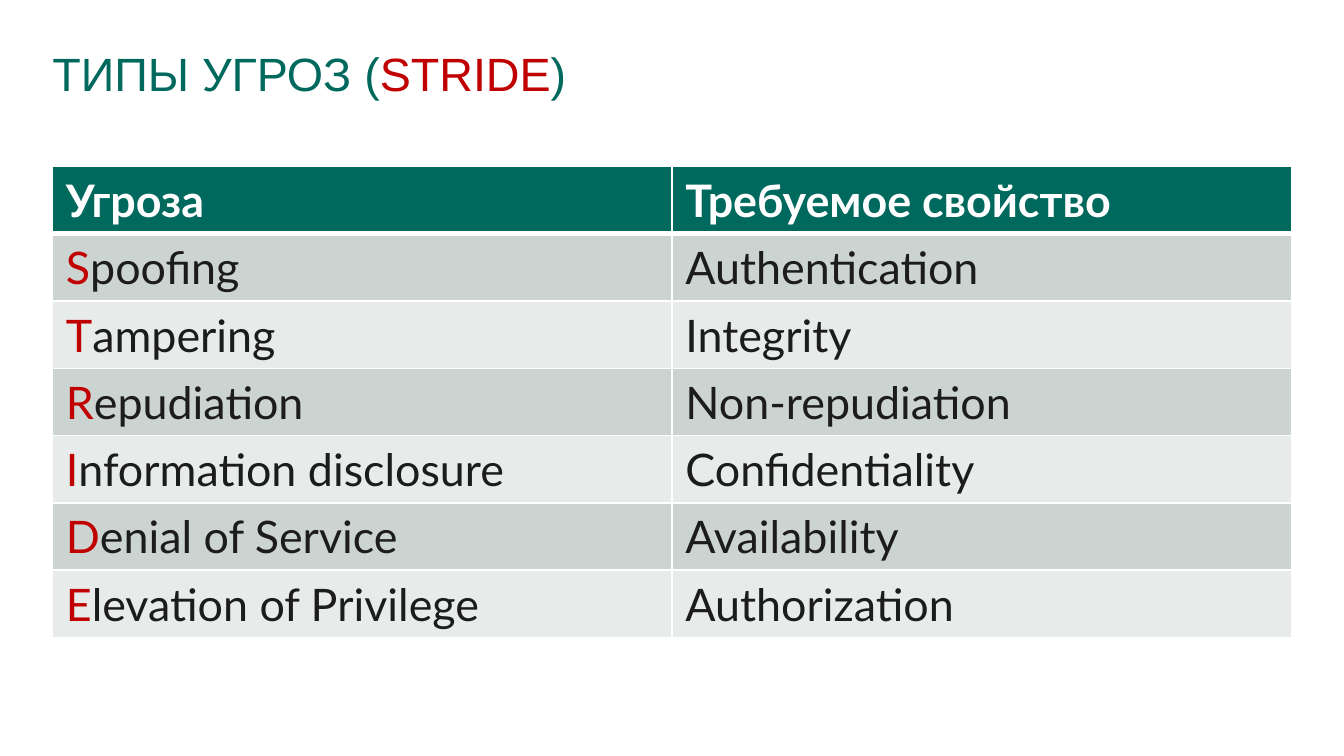
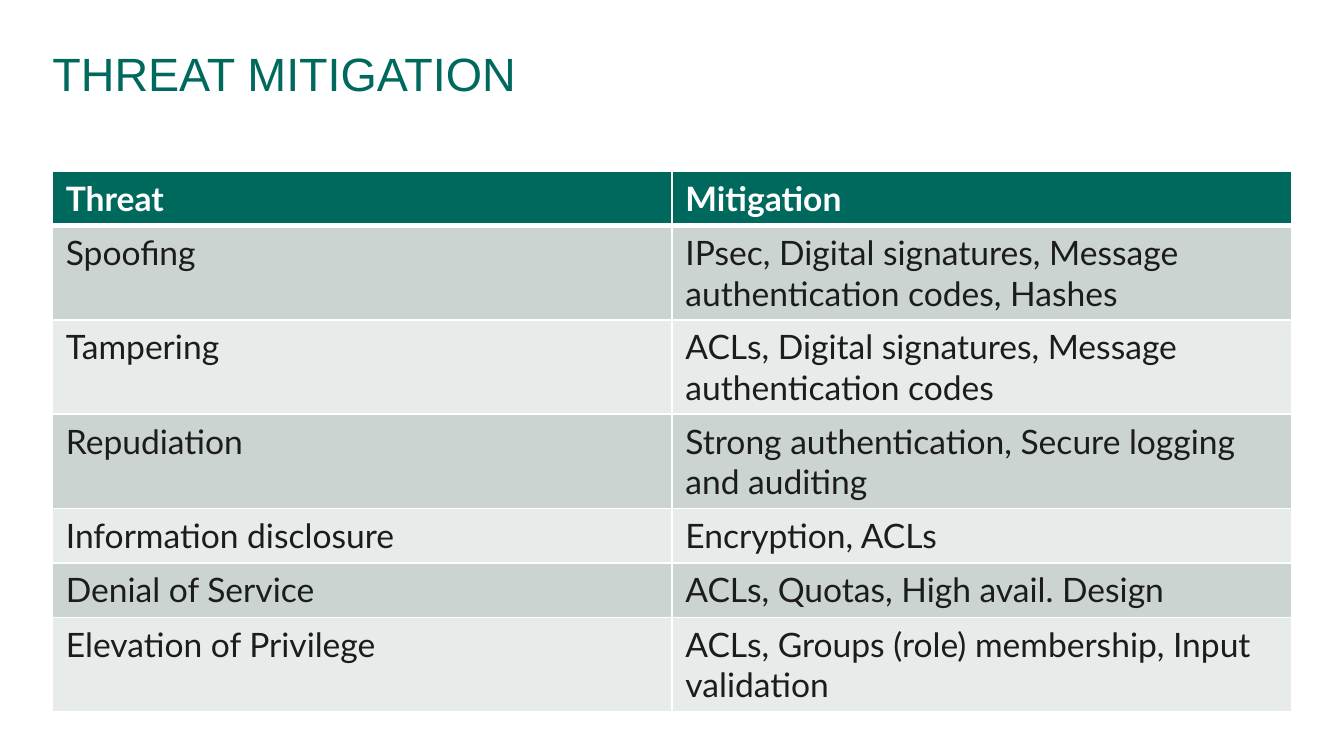
from dataclasses import dataclass

from lxml import etree
from pptx import Presentation
from pptx.dml.color import RGBColor
from pptx.enum.text import MSO_ANCHOR
from pptx.oxml.ns import qn
from pptx.util import Inches, Pt

TOP = MSO_ANCHOR.TOP
SLIDE_COLUMNS, SLIDE_ROWS = 100, 56.25
MARGIN = 3.9
CONTENT_WIDTH = SLIDE_COLUMNS - 2 * MARGIN
TITLE_TOP, TITLE_HEIGHT = 3.45, 7.4
ROW_HEIGHT = 4.06


@dataclass(frozen=True)
class Theme:
    primary: str = "00695D"
    accent: str = "C00000"
    ink: str = "1C1C1C"
    paper: str = "FFFFFF"
    bands: tuple = ("CCD4D2", "E7EBEA")
    title_font: str = "Arial"
    table_font: str = "Lato"
    title_size: float = 25
    title_leading: float = 29.2
    large_text: float = 24
    small_text: float = 18
    thin_rule: float = 1
    thick_rule: float = 3


THEME = Theme()

STRIDE_TITLE = [
    ("ТИПЫ УГРОЗ (", THEME.primary),
    ("STRIDE", THEME.accent),
    (")", THEME.primary),
]
STRIDE_HEADER = ("Угроза", "Требуемое свойство")
THREAT_PROPERTIES = [
    ("Spoofing", "Authentication"),
    ("Tampering", "Integrity"),
    ("Repudiation", "Non-repudiation"),
    ("Information disclosure", "Confidentiality"),
    ("Denial of Service", "Availability"),
    ("Elevation of Privilege", "Authorization"),
]

MITIGATION_TITLE = [("THREAT MITIGATION", THEME.primary)]
MITIGATION_HEADER = ("Threat", "Mitigation")
MITIGATIONS = [
    "IPsec, Digital signatures, Message authentication codes, Hashes",
    "ACLs, Digital signatures, Message authentication codes",
    "Strong authentication, Secure logging and auditing",
    "Encryption, ACLs",
    "ACLs, Quotas, High avail. Design",
    "ACLs, Groups (role) membership, Input validation",
]


def grid(units):
    return Inches(units / 10)


def add_runs(paragraph, runs, font_name, size, bold=False):
    for text, color in runs:
        run = paragraph.add_run()
        run.text = text
        run.font.name = font_name
        run.font.size = Pt(size)
        run.font.bold = bold
        run.font.color.rgb = RGBColor.from_string(color)


def add_title(slide, runs):
    title = slide.shapes.add_textbox(
        grid(MARGIN), grid(TITLE_TOP), grid(CONTENT_WIDTH), grid(TITLE_HEIGHT)
    )
    frame = title.text_frame
    frame.word_wrap = True
    frame.vertical_anchor = TOP
    frame.margin_left = frame.margin_top = 0
    frame.margin_right = frame.margin_bottom = 0
    paragraph = frame.paragraphs[0]
    paragraph.line_spacing = Pt(THEME.title_leading)
    add_runs(paragraph, runs, THEME.title_font, THEME.title_size)


def rule_cell(cell, top, bottom):
    properties = cell._tc.get_or_add_tcPr()
    widths = {"L": THEME.thin_rule, "R": THEME.thin_rule, "T": top, "B": bottom}
    for side, width in widths.items():
        rule = etree.SubElement(properties, qn(f"a:ln{side}"), w=str(Pt(width)))
        fill = etree.SubElement(rule, qn("a:solidFill"))
        etree.SubElement(fill, qn("a:srgbClr"), val=THEME.paper)


def fill_cell(cell, color):
    cell.fill.solid()
    cell.fill.fore_color.rgb = RGBColor.from_string(color)


def body_runs(text, highlight_initial):
    if highlight_initial:
        return [(text[0], THEME.accent), (text[1:], THEME.ink)]
    return [(text, THEME.ink)]


def add_threat_table(slide, top, header, entries, size, highlight_initials=False):
    lines = [header, *entries]
    table = slide.shapes.add_table(
        len(lines), len(header), grid(MARGIN), grid(top),
        grid(CONTENT_WIDTH), grid(ROW_HEIGHT * len(lines)),
    ).table
    for row, line in enumerate(lines):
        is_header = row == 0
        above = THEME.thick_rule if row == 1 else THEME.thin_rule
        below = THEME.thick_rule if is_header else THEME.thin_rule
        background = THEME.primary if is_header else THEME.bands[(row - 1) % 2]
        for column, text in enumerate(line):
            cell = table.cell(row, column)
            rule_cell(cell, above, below)
            fill_cell(cell, background)
            if is_header:
                runs = [(text, THEME.paper)]
            else:
                runs = body_runs(text, highlight_initials and column == 0)
            paragraph = cell.text_frame.paragraphs[0]
            add_runs(paragraph, runs, THEME.table_font, size, is_header)


def add_slide(deck, title_runs):
    slide = deck.slides.add_slide(deck.slide_layouts[6])
    background = slide.background.fill
    background.solid()
    background.fore_color.rgb = RGBColor.from_string(THEME.paper)
    add_title(slide, title_runs)
    return slide


def main():
    deck = Presentation()
    deck.slide_width = grid(SLIDE_COLUMNS)
    deck.slide_height = grid(SLIDE_ROWS)

    stride = add_slide(deck, STRIDE_TITLE)
    add_threat_table(stride, 12.4, STRIDE_HEADER, THREAT_PROPERTIES,
                     THEME.large_text, highlight_initials=True)

    mitigation = add_slide(deck, MITIGATION_TITLE)
    threats = [threat for threat, _ in THREAT_PROPERTIES]
    add_threat_table(mitigation, 12.75, MITIGATION_HEADER,
                     list(zip(threats, MITIGATIONS)), THEME.small_text)

    deck.save("out.pptx")


if __name__ == "__main__":
    main()
